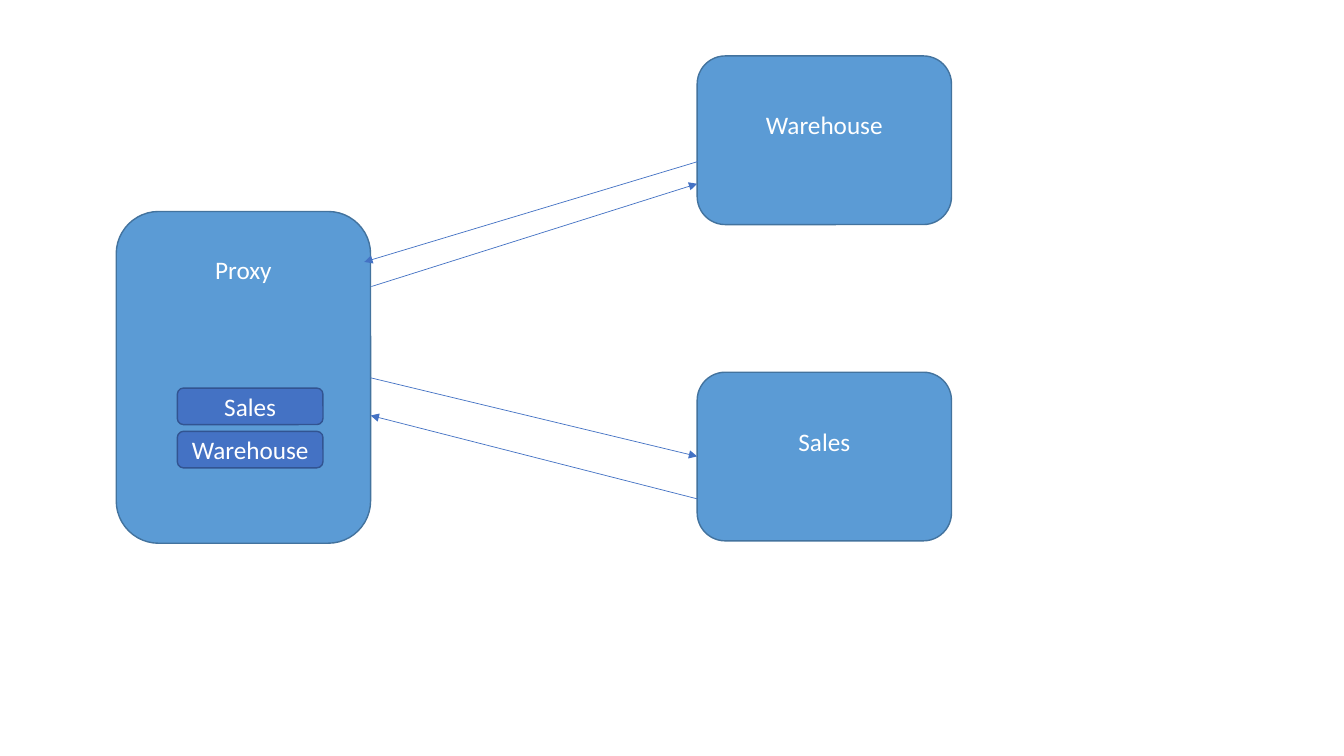
import pptx
import pptx.util
import pptx.dml.color
import pptx.enum.shapes
import pptx.enum.text
import pptx.oxml.ns
import lxml.etree
from pptx.util import Cm


def color(hex_value):
    return pptx.dml.color.RGBColor.from_string(hex_value)


deck = pptx.Presentation()
deck.slide_width, deck.slide_height = Cm(33.87), Cm(19.05)
slide = deck.slides.add_slide(deck.slide_layouts[6])

# Services: label, left, top, width, height, fill, outline, bottom inset lifting the label
SERVICE = ("5B9BD5", "43739E")
ROUTE = ("4472C4", "325491")
boxes = [
    ("Proxy", 2.93, 5.33, 6.41, 8.36, *SERVICE, 5.55),
    ("Sales", 4.47, 9.78, 3.67, 0.92, *ROUTE, 0.13),
    ("Warehouse", 4.47, 10.87, 3.67, 0.92, *ROUTE, 0.13),
    ("Warehouse", 17.57, 1.41, 6.41, 4.25, *SERVICE, 0.9),
    ("Sales", 17.57, 9.38, 6.41, 4.25, *SERVICE, 0.9),
]
for label, left, top, width, height, fill, outline, bottom_inset in boxes:
    box = slide.shapes.add_shape(
        pptx.enum.shapes.MSO_SHAPE.ROUNDED_RECTANGLE,
        Cm(left), Cm(top), Cm(width), Cm(height))
    box.shadow.inherit = False
    box.fill.solid()
    box.fill.fore_color.rgb = color(fill)
    box.line.color.rgb = color(outline)
    box.line.width = pptx.util.Pt(1)
    frame = box.text_frame
    frame.word_wrap = True
    frame.vertical_anchor = pptx.enum.text.MSO_ANCHOR.MIDDLE
    frame.margin_bottom = Cm(bottom_inset)
    paragraph = frame.paragraphs[0]
    paragraph.text = label
    paragraph.alignment = pptx.enum.text.PP_ALIGN.CENTER
    paragraph.font.name = "Calibri"
    paragraph.font.size = pptx.util.Pt(18)
    paragraph.font.color.rgb = color("FFFFFF")

# Requests and responses: start x, y, end x, y
messages = [
    (9.36, 7.22, 17.57, 4.63),
    (9.34, 9.52, 17.57, 11.5),
    (17.59, 4.07, 9.18, 6.6),
    (17.57, 12.57, 9.34, 10.47),
]
for ends in messages:
    arrow = slide.shapes.add_connector(
        pptx.enum.shapes.MSO_CONNECTOR.STRAIGHT, *map(Cm, ends))
    arrow.line.color.rgb = color("4472C4")
    arrow.line.width = pptx.util.Pt(0.5)
    properties = arrow.element.spPr
    outline = properties.find(pptx.oxml.ns.qn("a:ln"))
    lxml.etree.SubElement(outline, pptx.oxml.ns.qn("a:tailEnd"), type="triangle")
    lxml.etree.SubElement(properties, pptx.oxml.ns.qn("a:effectLst"))

deck.save("out.pptx")
